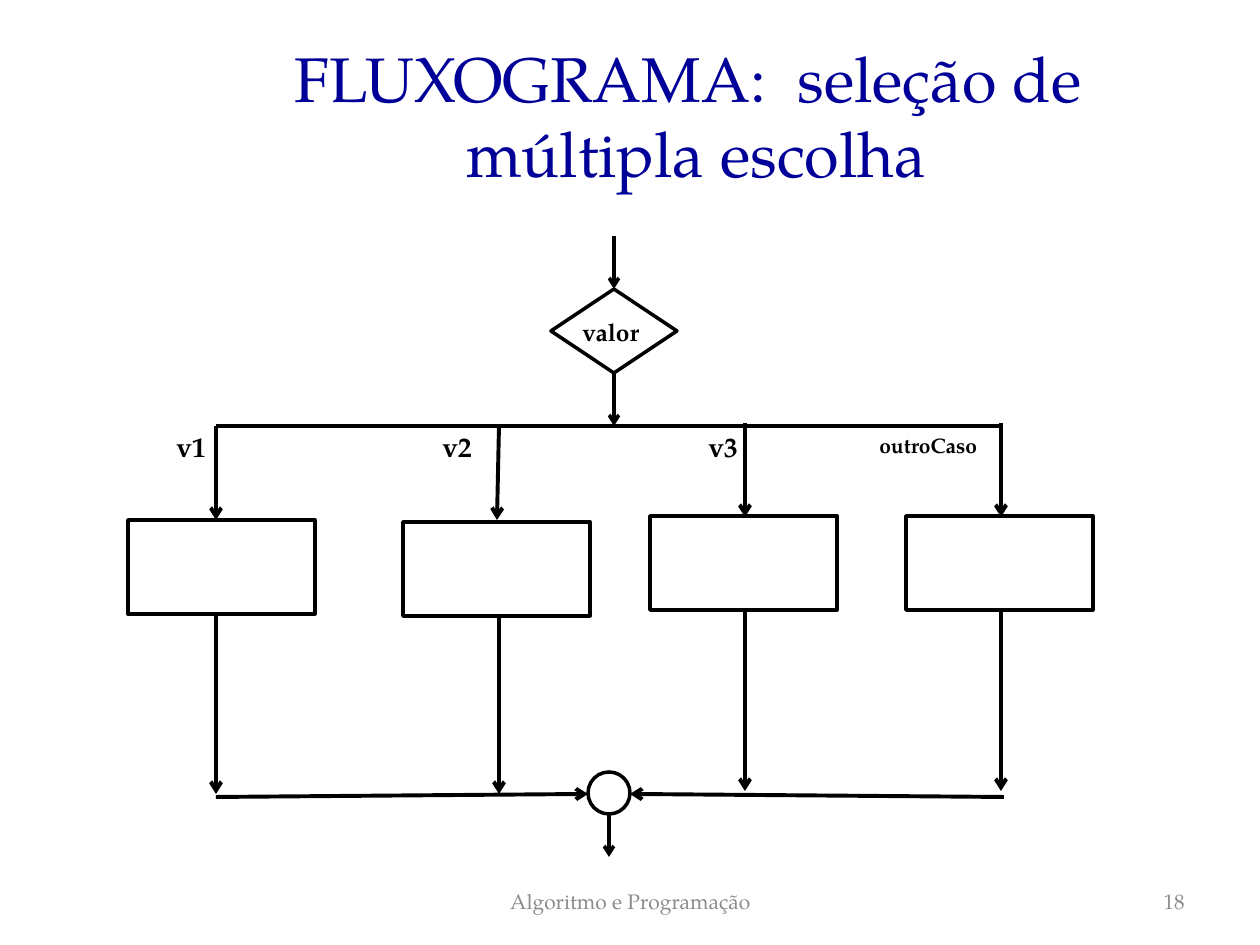
from lxml.etree import SubElement
from pptx import Presentation
from pptx.dml.color import RGBColor
from pptx.enum.shapes import MSO_CONNECTOR, MSO_SHAPE
from pptx.enum.text import MSO_ANCHOR, MSO_AUTO_SIZE, PP_ALIGN
from pptx.oxml.ns import qn
from pptx.util import Pt

PX = 914400 // 126
THEME = {
    "font": "TeX Gyre Pagella",
    "ink": RGBColor(0, 0, 0),
    "title": RGBColor(0, 0, 0x99),
    "muted": RGBColor(0x8C, 0x8C, 0x8C),
    "title_size": 36, "label_size": 16, "value_size": 14, "small_size": 12,
    "thin": Pt(2), "thick": Pt(2.25),
}

prs = Presentation()
prs.slide_width, prs.slide_height = 1260 * PX, 945 * PX
s = prs.slides.add_slide(prs.slide_layouts[5])


def write(sp, box, lines, size, color="ink", bold=False,
          align=PP_ALIGN.LEFT, anchor=MSO_ANCHOR.TOP):
    """Place a text shape and fill it with one paragraph per line."""
    sp.left, sp.top, sp.width, sp.height = (v * PX for v in box)
    tf = sp.text_frame
    frame = {"word_wrap": True, "auto_size": MSO_AUTO_SIZE.NONE,
             "vertical_anchor": anchor}
    for name, value in frame.items():
        setattr(tf, name, value)
    tf.text = "\n".join(lines)
    font = {"name": THEME["font"], "size": Pt(THEME[size]), "bold": bold}
    for p in tf.paragraphs:
        p.alignment = align
        for r in p.runs:
            for name, value in font.items():
                setattr(r.font, name, value)
            r.font.color.rgb = THEME[color]


def connect(x1, y1, x2, y2, weight="thick", arrow=True):
    """Draw a straight flow line, with an arrowhead at its end by default."""
    line = s.shapes.add_connector(MSO_CONNECTOR.STRAIGHT,
                                  x1 * PX, y1 * PX, x2 * PX, y2 * PX)
    line.line.color.rgb = THEME["ink"]
    line.line.width = THEME[weight]
    if arrow:
        SubElement(line.line._get_or_add_ln(), qn("a:tailEnd"), type="arrow")
    SubElement(line._element.spPr, qn("a:effectLst"))


write(s.shapes.title, (108, 73, 1176, 84),
      ["FLUXOGRAMA:  seleção de ", "múltipla escolha"], "title_size", "title",
      align=PP_ALIGN.CENTER, anchor=MSO_ANCHOR.MIDDLE)

# Outlined nodes: decision, four action boxes, junction
BOX_W, BOX_H = 187, 94
box_corners = [(128, 520), (403, 522), (650, 516), (906, 516)]
nodes = [(MSO_SHAPE.FLOWCHART_DECISION, 551, 289, 126, 84),
         (MSO_SHAPE.OVAL, 588, 772, 42, 42)]
nodes += [(MSO_SHAPE.RECTANGLE, x, y, BOX_W, BOX_H) for x, y in box_corners]
for kind, *box in nodes:
    sp = s.shapes.add_shape(kind, *(v * PX for v in box))
    sp.shadow.inherit = False
    sp.fill.background()
    sp.line.color.rgb = THEME["ink"]
    sp.line.width = THEME["thin"]

# Trunk: into the decision, down to the bus, out of the junction
for x, top, bottom in [(614, 236, 289), (614, 373, 426), (609, 814, 857)]:
    connect(x, top, x, bottom, "thin")
connect(216, 426, 1003, 426, arrow=False)

# Branches: bus to box, then box to the merging line
for x, tip_x, top in [(216, 216, 426), (499, 497, 426),
                      (745, 745, 423), (1001, 1001, 423)]:
    connect(x, top, tip_x, top + 94)
    connect(x, top + 189, x, top + 368)
for start, end in [(216, 588), (1004, 630)]:
    connect(start, 797, end, 794)

# Labels
labels = [("valor", (570, 311, 105, 43), "value_size"),
          ("outroCaso", (867, 426, 179, 38), "small_size")]
labels += [(f"v{i + 1}", (164 + 266 * i, 423, 63, 47), "label_size")
           for i in range(3)]
for text, box, size in labels:
    write(s.shapes.add_textbox(0, 0, 0, 0), box, [text], size, bold=True)

# Footer and page number
for text, box, align in [
        ("Algoritmo e Programação", (431, 876, 399, 50), PP_ALIGN.CENTER),
        ("18", (903, 876, 294, 50), PP_ALIGN.RIGHT)]:
    write(s.shapes.add_textbox(0, 0, 0, 0), box, [text], "small_size", "muted",
          align=align, anchor=MSO_ANCHOR.MIDDLE)

prs.save("out.pptx")
